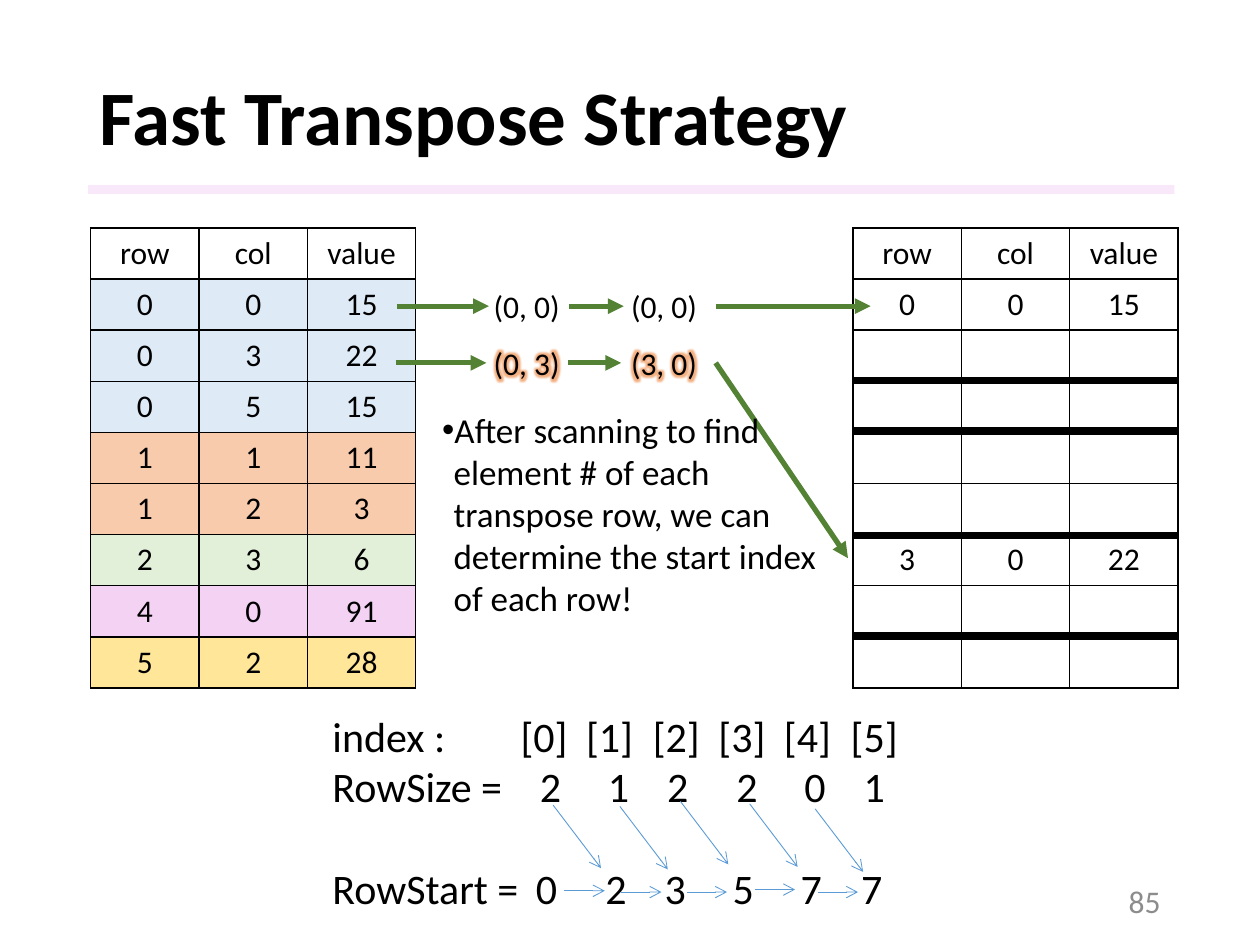
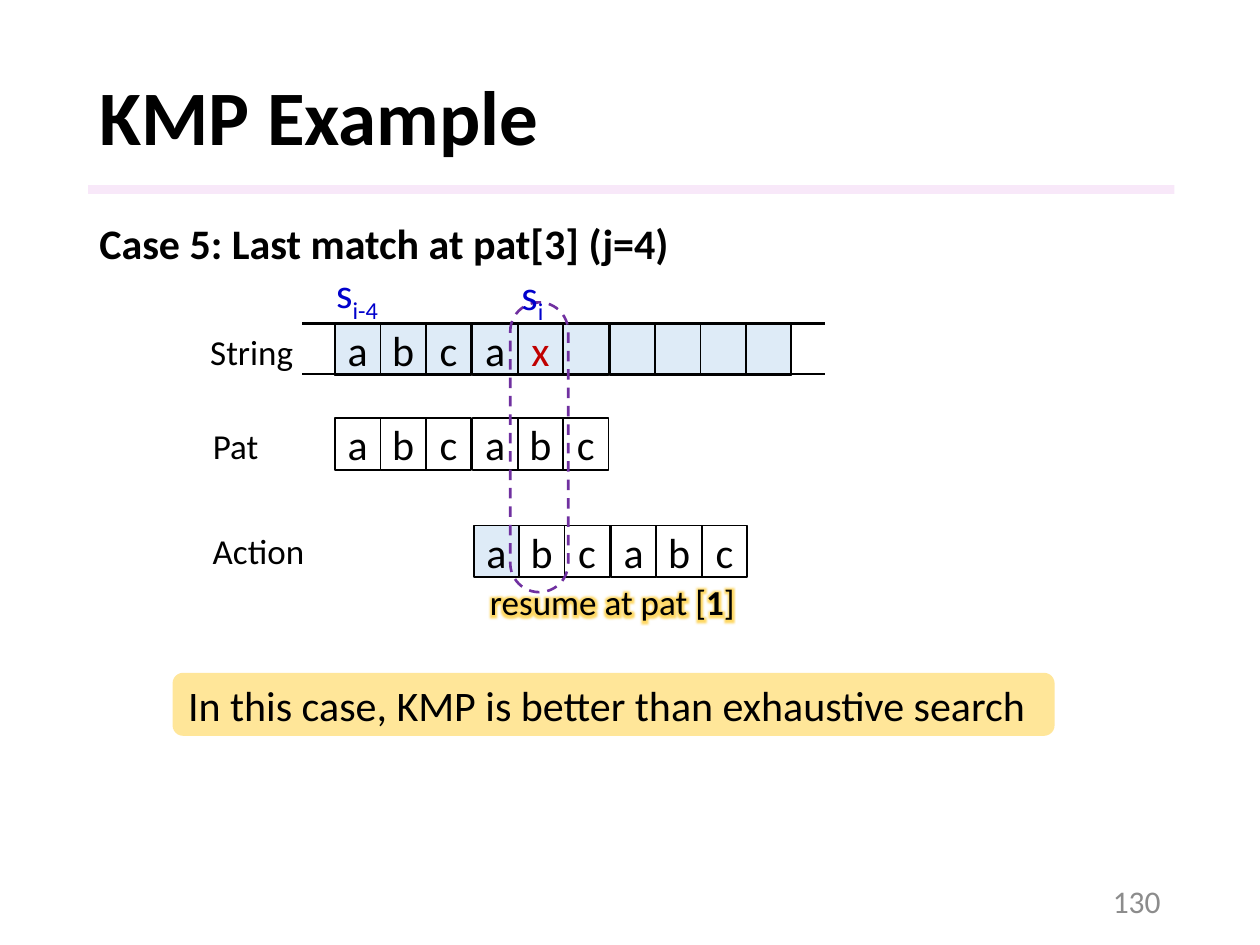
import dataclasses

import pptx
import pptx.dml.color
import pptx.enum.shapes
import pptx.enum.text
import pptx.oxml
import pptx.oxml.ns
import pptx.util

SCALE = 9144  # EMU per px, 100 px to the inch
ALIGN = pptx.enum.text.PP_ALIGN
ANCHOR = pptx.enum.text.MSO_ANCHOR
SHAPE = pptx.enum.shapes.MSO_SHAPE


@dataclasses.dataclass(frozen=True)
class Theme:
    font: str = "Calibri"
    title: int = 44
    large: int = 24
    medium: int = 20
    small: int = 18
    ink: str = "000000"
    paper: str = "FFFFFF"
    page_number: str = "8C8C8C"
    lilac: str = "F3D2F4"
    blue: str = "DEEBF7"
    orange: str = "F8CBAD"
    green: str = "E2F0D9"
    yellow: str = "FFE699"
    arrow: str = "548235"
    thin_arrow: str = "5B9BD5"
    mismatch: str = "C00000"
    subscript: str = "0000CC"
    focus: str = "7030A0"
    orange_glow: str = "F4B183"
    yellow_glow: str = "FFD966"


THEME = Theme()


# Basics
def px(*lengths):
    return [pptx.util.Emu(length * SCALE) for length in lengths]


def rgb(colour):
    return pptx.dml.color.RGBColor.from_string(colour)


def xml(tag, content="", **attributes):
    listed = " ".join(f'{name}="{value}"' for name, value in attributes.items())
    return pptx.oxml.parse_xml(
        f'<a:{tag} {pptx.oxml.ns.nsdecls("a")} {listed}>{content}</a:{tag}>')


def add_run(para, text, size, colour=THEME.ink, bold=False, baseline=None, glow=None):
    span = para.add_run()
    span.text = text
    span.font.size = pptx.util.Pt(size)
    span.font.bold = bold
    span.font.color.rgb = rgb(colour)
    properties = span.font.fill._xPr
    if baseline:
        properties.set("baseline", str(baseline * 1000))
    if glow:
        halo = f'<a:glow rad="101600"><a:srgbClr val="{glow}"/></a:glow>'
        properties.find(pptx.oxml.ns.qn("a:solidFill")).addnext(xml("effectLst", halo))
    span.font.name = THEME.font
    return span


def add_text(shapes, at, text, size, **style):
    box = shapes.add_textbox(*px(*at))
    add_run(box.text_frame.paragraphs[0], text, size, **style)
    return box


def add_box(shapes, at, kind=SHAPE.RECTANGLE, fill=None, line=None, width=1):
    box = shapes.add_shape(kind, *px(*at))
    box.shadow.inherit = False
    if fill:
        box.fill.solid()
        box.fill.fore_color.rgb = rgb(fill)
    else:
        box.fill.background()
    if line:
        box.line.color.rgb = rgb(line)
        box.line.width = pptx.util.Pt(width)
    else:
        box.line.fill.background()
    return box


def add_line(shapes, start, end, colour, width, head=None):
    line = shapes.add_connector(
        pptx.enum.shapes.MSO_CONNECTOR.STRAIGHT, *px(*start, *end))
    line.line.color.rgb = rgb(colour)
    line.line.width = pptx.util.Pt(width)
    if head:
        line.line._get_or_add_ln().append(xml("tailEnd", type=head))
    line.element.spPr.append(xml("effectLst"))


# Parts that all slides share
def add_band(deck, page):
    band = add_box(page.shapes, (70, 147, 862, 7), fill=THEME.lilac)
    colour = next(band.element.spPr.iter(pptx.oxml.ns.qn("a:srgbClr")))
    colour.append(xml("alpha", val=50000))
    deck.slide_master.shapes.element.append(band.element)


def place(placeholder, at):
    placeholder.left, placeholder.top, placeholder.width, placeholder.height = px(*at)
    placeholder.text_frame.auto_size = pptx.enum.text.MSO_AUTO_SIZE.NONE
    return placeholder.text_frame.paragraphs[0]


def add_page(deck, layout, title, number):
    page = deck.slides.add_slide(deck.slide_layouts[layout])
    heading = place(page.shapes.title, (69, 40, 862, 111))
    page.shapes.title.text_frame.vertical_anchor = ANCHOR.MIDDLE
    heading.alignment = ALIGN.LEFT
    heading.line_spacing = 0.9
    add_run(heading, title, THEME.title, bold=True)
    footer = add_text(page.shapes, (706, 695, 225, 40), number, THEME.small,
                      colour=THEME.page_number)
    footer.text_frame.vertical_anchor = ANCHOR.MIDDLE
    footer.text_frame.word_wrap = True
    footer.text_frame.paragraphs[0].alignment = ALIGN.RIGHT
    return page


# Sparse matrix tables
def add_matrix(page, left, rows, fills):
    frame = page.shapes.add_table(len(rows), 3, *px(left, 181, 258, 365))
    table = frame.table
    table.first_row = table.horz_banding = False
    for row, values, fill in zip(table.rows, rows, fills):
        row.height = px(365)[0] // len(rows)
        for cell, value in zip(row.cells, values):
            style_cell(cell, fill)
            para = cell.text_frame.paragraphs[0]
            para.alignment = ALIGN.CENTER
            if value:
                add_run(para, value, THEME.small)


def style_cell(cell, fill):
    properties = cell._tc.get_or_add_tcPr()
    ink = f'<a:solidFill><a:srgbClr val="{THEME.ink}"/></a:solidFill>'
    for side in "LRTB":
        properties.append(xml(f"ln{side}", ink, w=12700))
    cell.fill.solid()
    cell.fill.fore_color.rgb = rgb(fill)
    cell.vertical_anchor = ANCHOR.MIDDLE


# Lines of values centred on tab stops
def add_tabbed_line(para, label, values, centres):
    stops = "".join(f'<a:tab pos="{centre * SCALE}" algn="ctr"/>' for centre in centres)
    para._p.get_or_add_pPr().append(xml("tabLst", stops))
    add_run(para, "\t".join([label, *values]), THEME.large)


def add_row_counts(page):
    box = page.shapes.add_textbox(*px(254, 559, 496, 172))
    frame = box.text_frame
    frame.word_wrap = True
    lines = [
        ("index :", [f"[{i}]" for i in range(6)], (168, 220, 273, 325, 377, 430)),
        ("RowSize =", "212201", (173, 227, 274, 329, 383, 430)),
        ("RowStart =", "023577", (170, 225, 272, 326, 380, 428)),
    ]
    for i, line in enumerate(lines):
        para = frame.add_paragraph() if i else frame.paragraphs[0]
        add_tabbed_line(para, *line)
    para.space_before = pptx.util.Pt(29)

    # Each start is the previous start plus the previous size
    for x, y in ((439, 639), (492, 640), (540, 636), (595, 638), (647, 642)):
        add_line(page.shapes, (x, y), (x + 38, y + 50), THEME.thin_arrow, 0.5, "arrow")
    for x, y in ((448, 707), (493, 708), (545, 708), (599, 706), (649, 708)):
        add_line(page.shapes, (x, y), (x + 32, y), THEME.thin_arrow, 0.5, "arrow")


def build_transpose(page):
    header = ("row", "col", "value")
    blank = ("", "", "")
    entries = [("0", "0", "15"), ("0", "3", "22"), ("0", "5", "15"), ("1", "1", "11"),
               ("1", "2", "3"), ("2", "3", "6"), ("4", "0", "91"), ("5", "2", "28")]
    row_fills = {"0": THEME.blue, "1": THEME.orange, "2": THEME.green,
                 "4": THEME.lilac, "5": THEME.yellow}
    add_matrix(page, 72, [header, *entries],
               [THEME.paper] + [row_fills[entry[0]] for entry in entries])
    transposed = [header, entries[0], *[blank] * 4, ("3", "0", "22"), blank, blank]
    add_matrix(page, 677, transposed, [THEME.paper] * len(transposed))

    # Index pairs and their swaps
    for y, pair, swapped, glow in ((223, "(0, 0)", "(0, 0)", None),
                                   (268, "(0, 3)", "(3, 0)", THEME.orange_glow)):
        for x, text in ((382, pair), (491, swapped)):
            add_text(page.shapes, (x, y, 85, 40), text, THEME.small, glow=glow)
    for start, end in (((315, 243), (388, 243)), ((452, 243), (495, 243)),
                       ((568, 243), (691, 243)), ((314, 288), (386, 288)),
                       ((451, 288), (493, 288)), ((568, 288), (673, 443))):
        add_line(page.shapes, start, end, THEME.arrow, 3, "triangle")

    # Explanation, in front of the long arrow
    body = page.placeholders[1]
    para = place(body, (341, 319, 326, 178))
    properties = para._p.get_or_add_pPr()
    properties.set("marL", str(9 * SCALE))
    properties.set("indent", str(-9 * SCALE))
    properties.append(xml("buChar", char="•"))
    para.space_before = pptx.util.Pt(0)
    add_run(para, "After scanning to find element # of each transpose row, "
            "we can determine the start index of each row!", THEME.medium)
    page.shapes.element.append(body.element)

    # Row boundaries in the transposed matrix
    for y in (302, 342, 425, 505):
        add_line(page.shapes, (677, y), (935, y), THEME.ink, 4.5)
    add_row_counts(page)


# Character strips
def add_strip(shapes, left, top, letters, fills, colours=None):
    for i, (letter, fill) in enumerate(zip(letters, fills)):
        slot = add_box(shapes, (left + round(36.25 * i), top, 36, 41),
                       fill=fill, line=THEME.ink)
        frame = slot.text_frame
        frame.margin_left = frame.margin_right = 0
        frame.margin_top = frame.margin_bottom = 0
        frame.vertical_anchor = ANCHOR.MIDDLE
        para = frame.paragraphs[0]
        para.alignment = ALIGN.CENTER
        if letter:
            add_run(para, letter, THEME.large, (colours or {}).get(letter, THEME.ink))


def build_kmp(page):
    shapes = page.shapes
    add_text(shapes, (69, 168, 477, 50), "Case 5: Last match at pat[3] (j=4)",
             THEME.large, bold=True)

    # Searched string, open at both ends
    add_strip(shapes, 266, 257, [*"abcax", *[""] * 5], [THEME.blue] * 10,
              {"x": THEME.mismatch})
    for y in (257, 297):
        add_line(shapes, (240, y), (655, y), THEME.ink, 1.5)
    add_text(shapes, (157, 257, 87, 44), "String", THEME.medium)

    # Pattern
    pattern = shapes.add_group_shape().shapes
    add_strip(pattern, 266, 332, "abcabc", [THEME.paper] * 6)
    add_text(pattern, (159, 332, 58, 44), "Pat", THEME.medium)

    # Shifted pattern and the compared column
    action = shapes.add_group_shape().shapes
    add_strip(action, 376, 417, "abcabc", [THEME.blue] + [THEME.paper] * 5)
    add_text(action, (159, 415, 94, 44), "Action", THEME.medium)
    resume = add_text(action, (379, 456, 216, 44), "resume at pat [", THEME.medium,
                      glow=THEME.yellow_glow)
    for text, bold in (("1", True), ("]", False)):
        add_run(resume.text_frame.paragraphs[0], text, THEME.medium, bold=bold,
                glow=THEME.yellow_glow)
    focus = add_box(action, (405, 240, 46, 230), SHAPE.ROUNDED_RECTANGLE,
                    line=THEME.focus, width=1.5)
    focus.adjustments[0] = 0.5
    focus.line.dash_style = pptx.enum.dml.MSO_LINE.DASH

    # Conclusion
    callout = add_box(shapes, (137, 534, 700, 50), SHAPE.ROUNDED_RECTANGLE,
                      fill=THEME.yellow)
    callout.text_frame.vertical_anchor = ANCHOR.MIDDLE
    para = callout.text_frame.paragraphs[0]
    para.alignment = ALIGN.LEFT
    add_run(para, "In this case, KMP is better than exhaustive search", THEME.large)

    # Positions in the string
    for at, index in (((257, 207, 57, 50), "i-4"), ((404, 208, 38, 50), "i")):
        mark = add_text(shapes, at, "s", THEME.large, colour=THEME.subscript)
        add_run(mark.text_frame.paragraphs[0], index, THEME.large,
                THEME.subscript, baseline=-25)


def main():
    deck = pptx.Presentation()
    deck.slide_width, deck.slide_height = px(1000, 750)
    transpose = add_page(deck, 1, "Fast Transpose Strategy", "85")
    add_band(deck, transpose)
    build_transpose(transpose)
    build_kmp(add_page(deck, 5, "KMP Example", "130"))
    deck.save("out.pptx")


if __name__ == "__main__":
    main()
